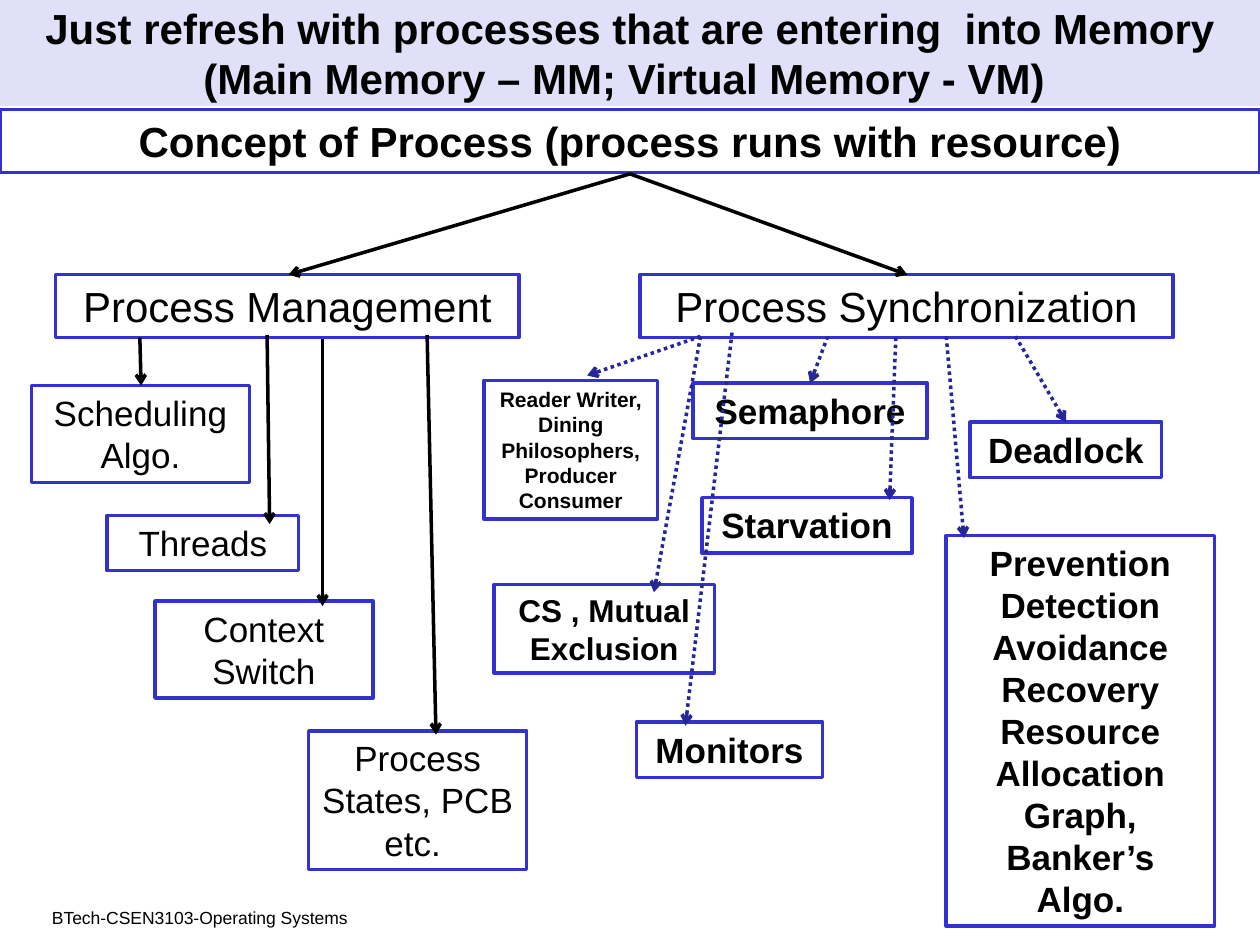
from lxml import etree
from pptx import Presentation
from pptx.dml.color import RGBColor
from pptx.enum.dml import MSO_LINE
from pptx.enum.shapes import MSO_CONNECTOR, MSO_SHAPE
from pptx.enum.text import MSO_ANCHOR, MSO_AUTO_SIZE, PP_ALIGN
from pptx.oxml.ns import qn
from pptx.util import Inches, Pt

RECT = MSO_SHAPE.RECTANGLE
STRAIGHT = MSO_CONNECTOR.STRAIGHT
DOTTED = MSO_LINE.ROUND_DOT
TOP, MIDDLE = MSO_ANCHOR.TOP, MSO_ANCHOR.MIDDLE
NO_FIT, GROW = MSO_AUTO_SIZE.NONE, MSO_AUTO_SIZE.SHAPE_TO_FIT_TEXT
CENTER = PP_ALIGN.CENTER

COLORS = {"band": "E0E0F8", "box": "FFFFFF", "border": "3333CC",
          "text": "000000", "solid": "000000", "dotted": "262699"}
FONT = "Arial"

TITLE = ("Just refresh with processes that are entering  into Memory "
         "(Main Memory – MM; Virtual Memory - VM) ")
FOOTER = "BTech-CSEN3103-Operating Systems"
REMEDIES = ["Prevention", "Detection", "Avoidance", "Recovery",
            "Resource Allocation Graph, Banker’s Algo."]

# (paragraphs, (left, top, width, height), size, bold)
BOXES = [
    (["Concept of Process (process runs with resource)"], (0, 0.87, 10, 0.5), 24, True),
    (["Process Management"], (0.44, 2.18, 3.68, 0.5), 24, False),
    (["Process Synchronization"], (5.08, 2.18, 4.23, 0.5), 24, False),
    (["Scheduling Algo."], (0.25, 3.06, 1.73, 0.77), 20, False),
    (["Threads"], (0.85, 4.09, 1.52, 0.44), 20, False),
    (["Context Switch"], (1.23, 4.77, 1.73, 0.77), 20, False),
    (["Process States, PCB etc. "], (2.45, 5.8, 1.73, 1.1), 20, False),
    (["Reader Writer, Dining Philosophers, Producer Consumer"], (3.84, 3.02, 1.38, 1.1), 12, True),
    (["CS , Mutual Exclusion"], (3.92, 4.64, 1.75, 0.7), 18, True),
    (["Monitors"], (5.05, 5.73, 1.48, 0.44), 20, True),
    (["Semaphore"], (5.5, 3.04, 1.86, 0.44), 20, True),
    (["Deadlock"], (7.7, 3.35, 1.52, 0.44), 20, True),
    (["Starvation"], (5.57, 3.95, 1.67, 0.44), 20, True),
    (REMEDIES, (7.51, 4.25, 2.13, 3.1), 20, True),
]

# (from x, from y, to x, to y)
ARROWS = {
    "solid": [
        (5, 1.38, 2.29, 2.18), (5, 1.38, 7.2, 2.18),
        (1.11, 2.68, 1.12, 3.06), (2.12, 2.66, 2.14, 4.16),
        (2.56, 2.69, 2.56, 4.81), (3.39, 2.66, 3.46, 5.83),
    ],
    "dotted": [
        (6.57, 2.67, 6.43, 3.04), (5.56, 2.67, 4.66, 2.98),
        (5.56, 2.67, 5.19, 4.7), (7.11, 2.68, 7.06, 3.97),
        (5.81, 2.64, 5.44, 5.76), (8.06, 2.67, 8.46, 3.35),
        (7.51, 2.67, 7.65, 4.27),
    ],
}


def rgb(name):
    """Return a palette colour."""
    return RGBColor.from_string(COLORS[name])


def write(sp, paragraphs, size=20, bold=False, anchor=TOP, fit=NO_FIT):
    """Fill a shape with centred paragraphs."""
    tf = sp.text_frame
    tf.word_wrap = True
    tf.auto_size = fit
    tf.vertical_anchor = anchor
    tf.margin_left = tf.margin_right = Inches(0.1)
    tf.margin_top = tf.margin_bottom = Inches(0.05)
    for i, text in enumerate(paragraphs):
        p = tf.add_paragraph() if i else tf.paragraphs[0]
        p.alignment = CENTER
        r = p.add_run()
        r.text = text
        r.font.name = FONT
        r.font.size = Pt(size)
        r.font.bold = bold
        r.font.color.rgb = rgb("text")


def add_title(s):
    """Place the title across the top band."""
    sp = s.shapes.title
    sp.left, sp.top, sp.width, sp.height = map(Inches, (0, 0, 10, 0.84))
    sp.fill.solid()
    sp.fill.fore_color.rgb = rgb("band")
    write(sp, [TITLE], size=24, bold=True, anchor=MIDDLE)


def add_box(s, paragraphs, place, size, bold):
    """Add an outlined concept box."""
    sp = s.shapes.add_shape(RECT, *map(Inches, place))
    sp.shadow.inherit = False
    sp.fill.solid()
    sp.fill.fore_color.rgb = rgb("box")
    sp.line.color.rgb = rgb("border")
    sp.line.width = Pt(2)
    write(sp, paragraphs, size=size, bold=bold, fit=GROW)


def add_arrow(s, ends, style):
    """Add an arrow pointing at its second end."""
    line = s.shapes.add_connector(STRAIGHT, *map(Inches, ends))
    line.line.color.rgb = rgb(style)
    line.line.width = Pt(2)
    if style == "dotted":
        line.line.dash_style = DOTTED
    ln = line.line._get_or_add_ln()
    etree.SubElement(ln, qn("a:tailEnd"), type="arrow")
    etree.SubElement(ln.getparent(), qn("a:effectLst"))


def main():
    """Build the process concept map."""
    prs = Presentation()
    prs.slide_width, prs.slide_height = Inches(10), Inches(7.5)
    s = prs.slides.add_slide(prs.slide_layouts[5])
    add_title(s)
    footer = s.shapes.add_textbox(*map(Inches, (0, 7.15, 3.17, 0.35)))
    write(footer, [FOOTER], size=10)
    for box in BOXES:
        add_box(s, *box)
    for style, arrows in ARROWS.items():
        for ends in arrows:
            add_arrow(s, ends, style)
    prs.save("out.pptx")


if __name__ == "__main__":
    main()
